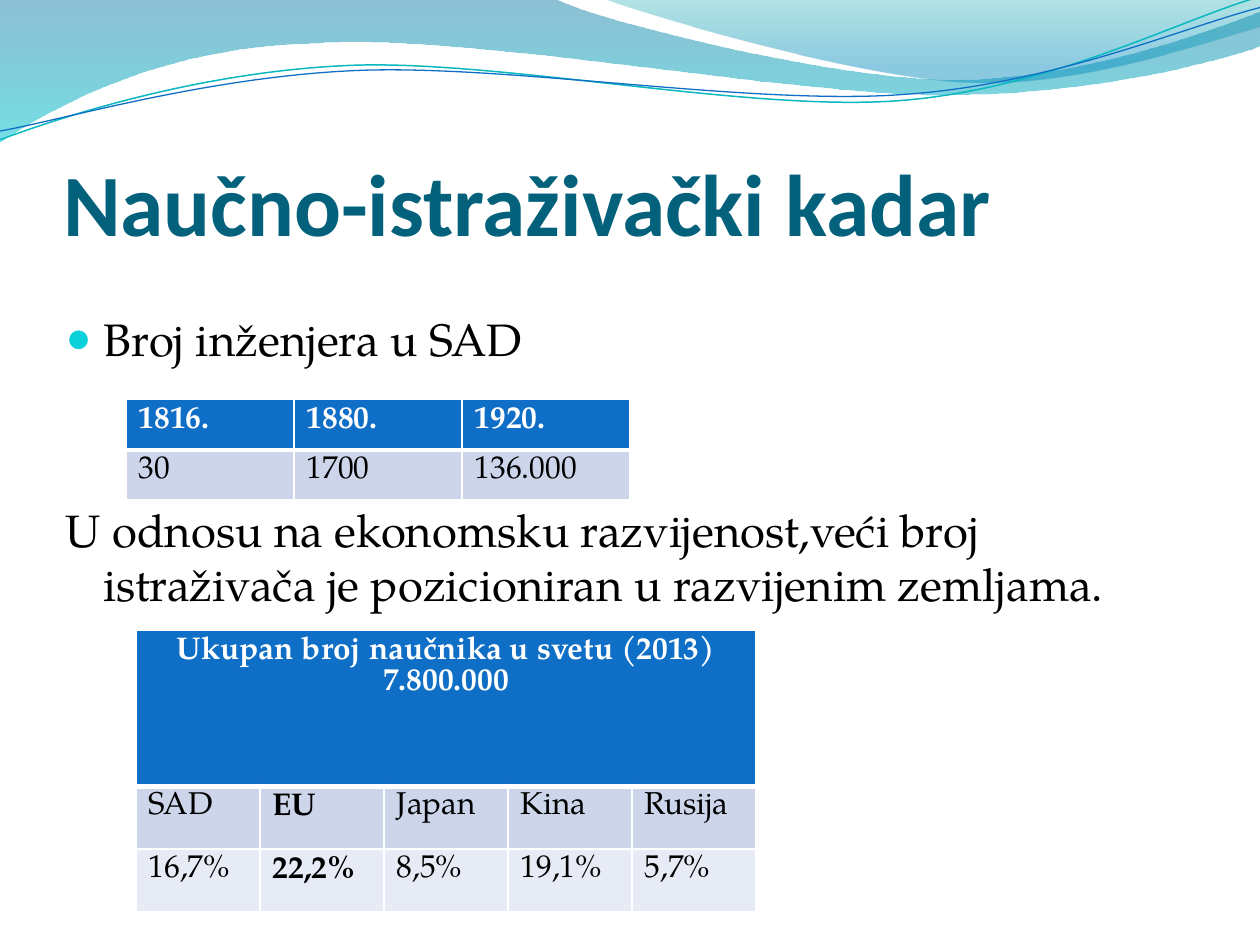
from lxml import etree
from pptx import Presentation
from pptx.dml.color import RGBColor
from pptx.enum import text
from pptx.oxml import ns
from pptx.util import Inches, Pt

TITLE_BLUE = RGBColor(0x04, 0x61, 0x7B)
HEADER_BLUE = RGBColor(0x0F, 0x6F, 0xC6)
BAND_DARK = RGBColor(0xCC, 0xD5, 0xEA)
BAND_LIGHT = RGBColor(0xE7, 0xEB, 0xF5)
WAVE_TEAL = RGBColor(0x0A, 0xB8, 0xBF)
WHITE = RGBColor(0xFF, 0xFF, 0xFF)
BLACK = RGBColor(0, 0, 0)
SERIF = "TeX Gyre Pagella"


def write(paragraph, words, size=18, font=SERIF, color=BLACK, bold=False,
          align=text.PP_ALIGN.LEFT, line=None, before=0):
    run = paragraph.add_run()
    run.text = words
    run.font.size, run.font.name, run.font.bold = Pt(size), font, bold
    run.font.color.rgb = color
    paragraph.alignment = align
    paragraph.space_before = Pt(before)
    if line:
        paragraph.line_spacing = Pt(line)


def add(parent, tag, **attributes):
    element = etree.SubElement(parent, ns.qn(tag))
    for name, value in attributes.items():
        element.set(name, str(value))
    return element


presentation = Presentation()
presentation.slide_width, presentation.slide_height = Inches(10), Inches(7.5)
slide = presentation.slides.add_slide(presentation.slide_layouts[1])

# Waves: start point, then steps of one point (line) or three points (curve),
# followed by the gradient stops or the line colour and width
waves = [
    ([(0, 0), [(4.4, -0.01)],
      [(4.76, 0.17), (6.64, 0.63), (7.58, 0.63)],
      [(8.53, 0.63), (9.58, 0.26), (10, 0.09)], [(10.01, 0.36)],
      [(9.83, 0.44), (8.7, 0.76), (7.46, 0.75)],
      [(6.22, 0.75), (3.82, 0.28), (2.57, 0.34)],
      [(1.29, 0.36), (0.46, 0.83), (-0.01, 1.13)], [(0, 0)]],
     [(0, RGBColor(0x00, 0x74, 0xA1), 45), (1, RGBColor(0x00, 0xC6, 0xCF), 55)], None),
    ([(4.79, -0.01), [(5.09, 0.11), (6.82, 0.62), (7.69, 0.65)],
      [(8.56, 0.69), (9.61, 0.32), (10, 0.21)], [(10, 0)], [(4.79, -0.01)]],
     [(0, RGBColor(0x00, 0xA1, 0xA9), 30), (0.8, RGBColor(0x00, 0x8B, 0xBF), 45)], None),
    ([(0, 1.11), [(0.48, 0.93), (1.58, 0.57), (2.77, 0.52)],
      [(3.95, 0.47), (5.93, 0.89), (7.13, 0.8)],
      [(8.33, 0.71), (9.38, 0.15), (9.98, -0.02)]], None, (WAVE_TEAL, 0.85)),
    ([(0, 1.04), [(0.47, 0.96), (1.64, 0.61), (2.83, 0.56)],
      [(4.03, 0.51), (5.97, 0.84), (7.17, 0.75)],
      [(8.36, 0.67), (9.41, 0.21), (10, 0.06)]], None, (HEADER_BLUE, 0.75)),
]
for order, ((start, *segments), stops, stroke) in enumerate(waves):
    builder = slide.shapes.build_freeform(Inches(start[0]), Inches(start[1]))
    builder.add_line_segments([(Inches(x), Inches(y)) for x, y in (s[-1] for s in segments)],
                              close=stops is not None)
    shape = builder.convert_to_shape()
    # Turn the three-point steps into Bézier curves
    for node, segment in zip(list(shape._element.iter(ns.qn("a:lnTo"))), segments):
        if len(segment) == 3:
            curve = etree.Element(ns.qn("a:cubicBezTo"))
            for x, y in segment:
                add(curve, "a:pt", x=Inches(x) - shape.left, y=Inches(y) - shape.top)
            node.getparent().replace(node, curve)
    shape.shadow.inherit = False
    if stops:
        shape.line.fill.background()
        shape.fill.gradient()
        shape.fill.gradient_angle = 270  # top to bottom
        for stop, (position, color, alpha) in zip(shape.fill.gradient_stops, stops):
            stop.position = position
            stop.color.rgb = color
        for node, (_, _, alpha) in zip(shape._element.spPr.iter(ns.qn("a:srgbClr")), stops):
            add(node, "a:alpha", val=alpha * 1000)
    else:
        shape.fill.background()
        shape.line.color.rgb, shape.line.width = stroke[0], Pt(stroke[1])
    slide.shapes._spTree.insert(2 + order, shape._element)  # behind the text

# Title
title = slide.shapes.title
title.left, title.top, title.width, title.height = map(Inches, (0.5, 0.77, 9, 1.25))
frame = title.text_frame
frame.auto_size = text.MSO_AUTO_SIZE.NONE
frame.vertical_anchor = text.MSO_ANCHOR.BOTTOM
frame.margin_left = frame.margin_right = frame.margin_bottom = 0
write(frame.paragraphs[0], "Naučno-istraživački kadar", size=50, font="Calibri",
      color=TITLE_BLUE, bold=True)

# Body: a bulleted line, then a plain one below the first table
body = slide.placeholders[1]
body.left, body.top, body.width, body.height = map(Inches, (0.42, 2.42, 9, 4.8))
frame = body.text_frame
frame.auto_size = text.MSO_AUTO_SIZE.NONE
items = [
    ("Broj inženjera u SAD", 3, True),
    ("U odnosu na ekonomsku razvijenost,veći broj istraživača je pozicioniran "
     "u razvijenim zemljama.", 78.5, False),
]
for index, (words, before, bulleted) in enumerate(items):
    paragraph = frame.add_paragraph() if index else frame.paragraphs[0]
    write(paragraph, words, size=26, line=30.9, before=before)
    properties = paragraph._p.get_or_add_pPr()
    properties.set("marL", str(Inches(0.3)))
    properties.set("indent", str(-Inches(0.3)))
    if bulleted:
        add(add(properties, "a:buClr"), "a:srgbClr", val="0BD0D9")
        add(properties, "a:buSzPct", val=95000)
        add(properties, "a:buChar", char="●")
    else:
        add(properties, "a:buNone")

# Tables: place, row heights, rows, column in bold
tables = [
    ((1, 3.17, 4), [0.4, 0.4],
     [["1816.", "1880.", "1920."], ["30", "1700", "136.000"]], None),
    ((1.08, 5, 4.92), [1.24, 0.5, 0.5],
     [["Ukupan broj naučnika u svetu (2013)\n7.800.000", "", "", "", ""],
      ["SAD", "EU", "Japan", "Kina", "Rusija"],
      ["16,7%", "22,2%", "8,5%", "19,1%", "5,7%"]], 1),
]
row_fills = [HEADER_BLUE, BAND_DARK, BAND_LIGHT]
for (left, top, width), heights, rows, bold_column in tables:
    columns = len(rows[0])
    table = slide.shapes.add_table(len(rows), columns, Inches(left), Inches(top),
                                   Inches(width), Inches(sum(heights))).table
    for column in table.columns:
        column.width = Inches(width / columns)
    merged = rows[0][1] == ""
    if merged:
        table.cell(0, 0).merge(table.cell(0, columns - 1))
    for r, row in enumerate(rows):
        table.rows[r].height = Inches(heights[r])
        for c, words in enumerate(row):
            cell = table.cell(r, c)
            for index, line in enumerate(words.split("\n") if words else []):
                frame = cell.text_frame
                paragraph = frame.add_paragraph() if index else frame.paragraphs[0]
                write(paragraph, line, color=BLACK if r else WHITE,
                      bold=r == 0 or c == bold_column, line=17.8,
                      align=text.PP_ALIGN.CENTER if merged and r == 0 else text.PP_ALIGN.LEFT)
            # White borders, thicker between header and data
            properties = cell._tc.get_or_add_tcPr()
            for side in "LRTB":
                thick = (r, side) in ((0, "B"), (1, "T"))
                border = add(properties, f"a:ln{side}", w=Pt(3 if thick else 1))
                add(add(border, "a:solidFill"), "a:srgbClr", val=WHITE)
            cell.fill.solid()
            cell.fill.fore_color.rgb = row_fills[r]

presentation.save("out.pptx")
